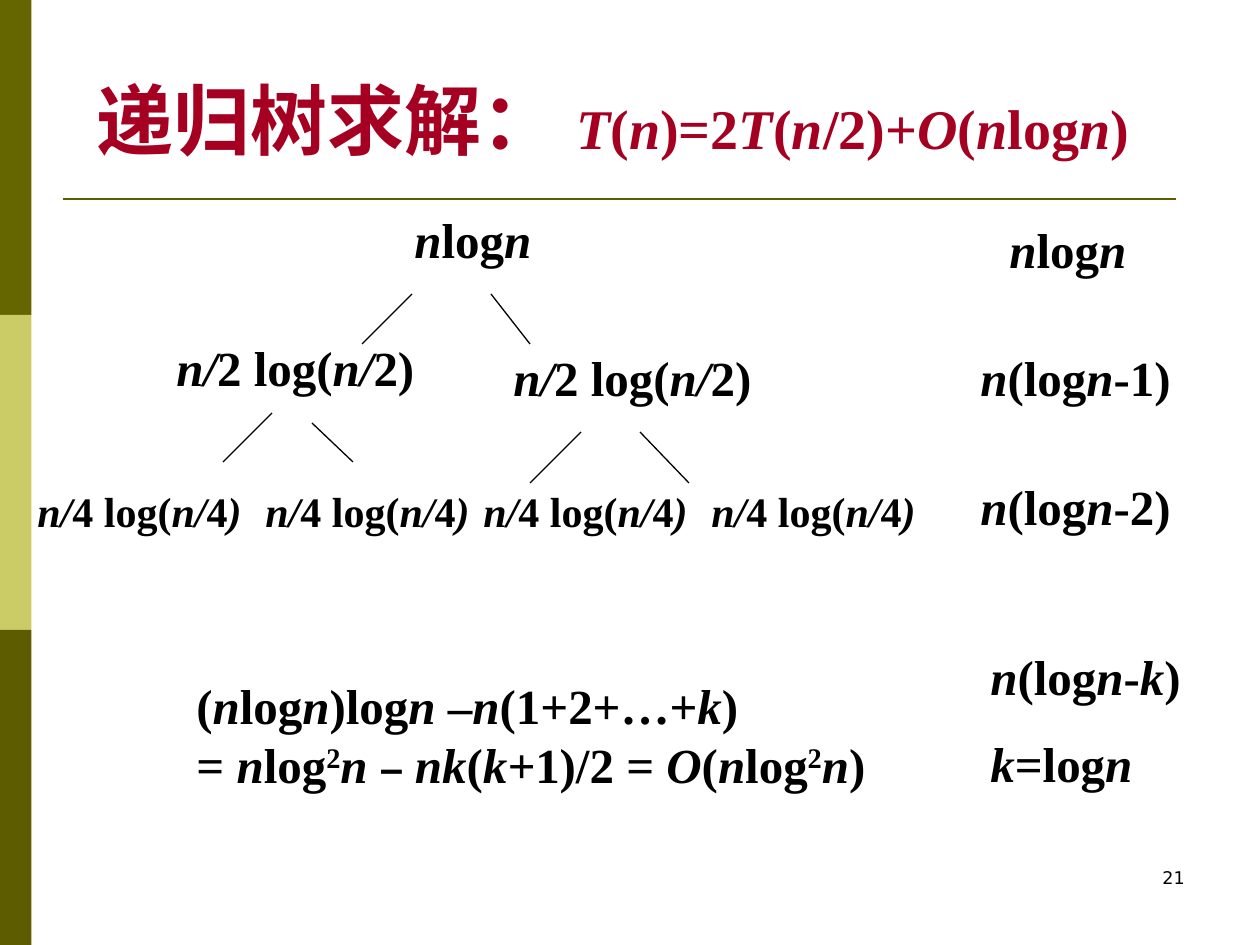
from lxml.etree import SubElement
from pptx import Presentation
from pptx.dml.color import RGBColor
from pptx.enum.shapes import MSO_CONNECTOR as Connector, MSO_SHAPE as Shape
from pptx.enum.text import PP_ALIGN as Align
from pptx.oxml.ns import qn
from pptx.util import Inches, Pt

BLACK = RGBColor(0x00, 0x00, 0x00)
CRIMSON = RGBColor(0xA5, 0x00, 0x21)
OLIVE = RGBColor(0x66, 0x66, 0x00)
LIME = RGBColor(0xCC, 0xCC, 0x66)
DARK_OLIVE = RGBColor(0x5E, 0x5C, 0x00)
SERIF = "Times New Roman"
HAN = "Noto Sans CJK SC"

TITLE = "~递归树求解： ~*T*(*n*)=2*T*(*n*/2)+*O*(*n*log*n*)"
ROOT = "*n*log*n*"
HALF = "*n/*2 log(*n/*2) "
QUARTER = "*n/*4 log(*n/*4*)*"
HALF_SPOTS = [(164, 331), (501, 341)]
QUARTER_LEFTS = [25, 253, 471, 699]
LEVEL_COSTS = [
    (ROOT, 997, 213, 155),
    ("*n*(log*n*-1) ", 968, 341, 227),
    ("*n*(log*n*-2) ", 968, 470, 227),
]
LAST_LEVEL = ["*n*(log*n*-*k*)", "*k*=log*n*"]
TOTAL = [
    "(*n*log*n*)log*n* –*n*(1+2+…+*k*)",
    "= *n*log^2^*n* ~– ~*nk*(*k+*1)/2 = *O*(*n*log^2^*n*)",
]
BRANCHES = [
    (491, 294, 530, 344), (412, 294, 362, 344),
    (272, 413, 223, 462), (312, 423, 353, 462),
    (581, 432, 530, 483), (640, 432, 689, 483),
]
BAND_COLORS = [OLIVE, LIME, DARK_OLIVE]


def px(value):
    return round(value * Inches(1) / 126)


def styled_pieces(marked):
    for i, slanted in enumerate(marked.split("*")):
        for j, raised in enumerate(slanted.split("^")):
            for k, piece in enumerate(raised.split("~")):
                if piece:
                    yield piece, i % 2 == 1, j % 2 == 1, k % 2 == 1


def add_text(lines, left, top, width, height, size=28, font=SERIF, color=BLACK, bold=True,
             alternate=("Arial", 24), wrap=False, align=Align.LEFT, gap=0):
    box = slide.shapes.add_textbox(px(left), px(top), px(width), px(height))
    frame = box.text_frame
    frame.word_wrap = wrap
    for number, line in enumerate(lines):
        paragraph = frame.add_paragraph() if number else frame.paragraphs[0]
        paragraph.alignment = align
        if number:
            paragraph.space_before = Pt(gap)
        for piece, italic, superscript, alternative in styled_pieces(line):
            run = paragraph.add_run()
            run.text = piece
            name, points = alternate if alternative else (font, size)
            run.font.name, run.font.size = name, Pt(points)
            run.font.bold, run.font.italic = bold, italic
            run.font.color.rgb = color
            properties = run.font._element
            SubElement(properties, qn("a:ea")).set("typeface", name)
            if superscript:
                properties.set("baseline", "30000")


def add_line(x1, y1, x2, y2, color=BLACK, weight=0.75):
    line = slide.shapes.add_connector(Connector.STRAIGHT, px(x1), px(y1), px(x2), px(y2))
    line.line.color.rgb = color
    line.line.width = Pt(weight)
    SubElement(line._element.spPr, qn("a:effectLst"))


deck = Presentation()
deck.slide_width, deck.slide_height = px(1260), px(945)
slide = deck.slides.add_slide(deck.slide_layouts[6])

for index, color in enumerate(BAND_COLORS):
    band = slide.shapes.add_shape(Shape.RECTANGLE, 0, px(315 * index), px(31.5), px(315))
    band.shadow.inherit = False
    band.fill.solid()
    band.fill.fore_color.rgb = color
    band.line.fill.background()

add_line(63, 199, 1176, 199, color=DARK_OLIVE, weight=1.5)
add_text([TITLE], 84, 66, 1111, 105, size=32, color=CRIMSON, alternate=(HAN, 44), wrap=True)

add_text([ROOT], 402, 203, 155, 72)
for left, top in HALF_SPOTS:
    add_text([HALF], left, top, 275, 72)
for left in QUARTER_LEFTS:
    add_text([QUARTER], left, 479, 239, 63, size=24)
for branch in BRANCHES:
    add_line(*branch)

for cost, left, top, width in LEVEL_COSTS:
    add_text([cost], left, top, width, 72)
add_text(LAST_LEVEL, 978, 640, 217, 160, gap=16)
add_text(TOTAL, 184, 669, 712, 130)
add_text(["21"], 903, 861, 294, 63, size=10, font="DejaVu Sans", bold=False, wrap=True,
         align=Align.RIGHT)

deck.save("out.pptx")
